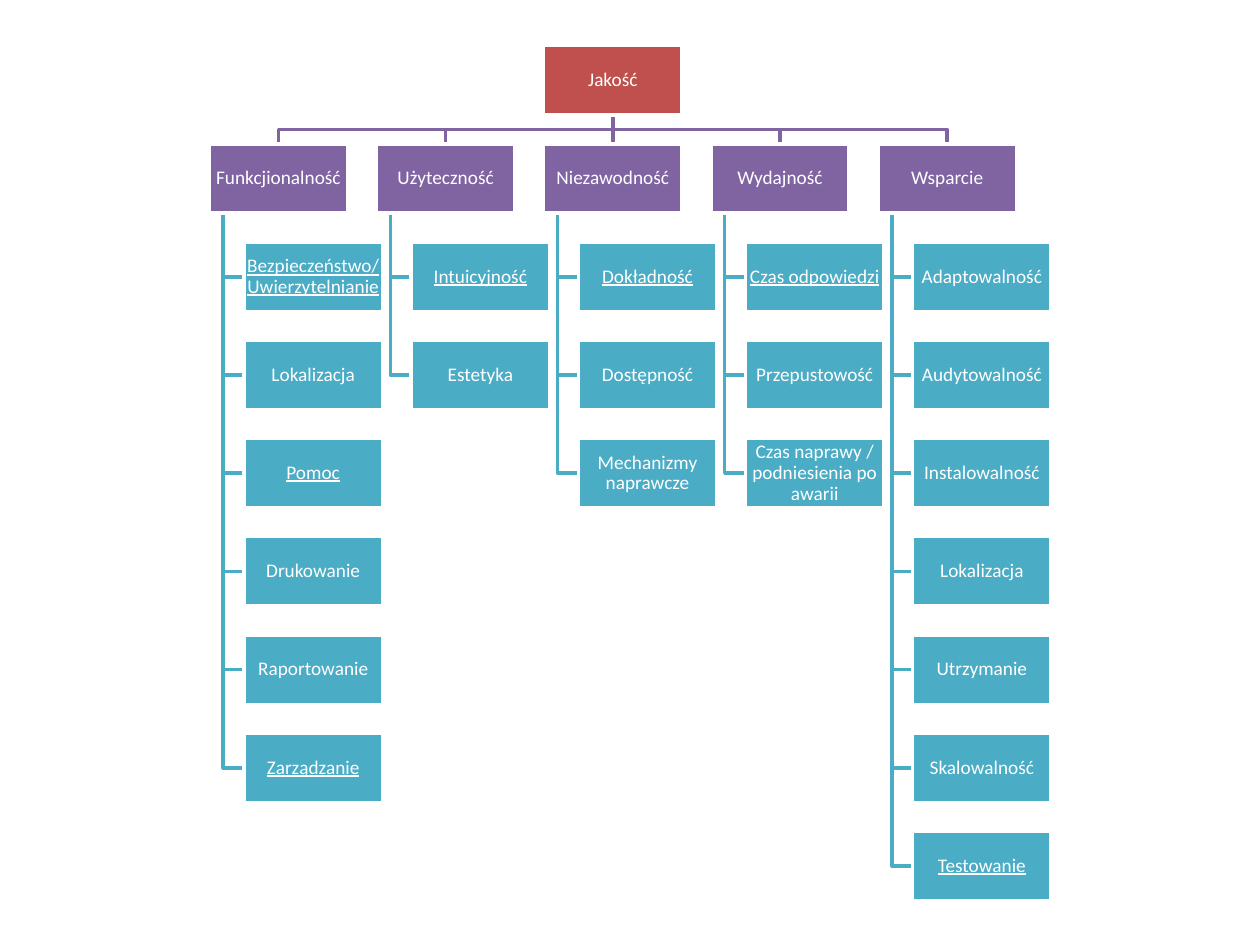
from pptx import Presentation
from pptx.dml.color import RGBColor
from pptx.enum.shapes import MSO_SHAPE
from pptx.enum.text import MSO_ANCHOR, PP_ALIGN
from pptx.util import Cm, Pt

COLORS = {"root": "C0504D", "branch": "8064A2", "leaf": "4BACC6", "white": "FFFFFF"}

# Content: quality attributes and their measures
ROOT = "Jakość"
BRANCHES = {
    "Funkcjionalność": ["Bezpieczeństwo/ Uwierzytelnianie", "Lokalizacja", "Pomoc",
                        "Drukowanie", "Raportowanie", "Zarządzanie"],
    "Użyteczność": ["Intuicyjność", "Estetyka"],
    "Niezawodność": ["Dokładność", "Dostępność", "Mechanizmy naprawcze"],
    "Wydajność": ["Czas odpowiedzi", "Przepustowość",
                  "Czas naprawy / podniesienia po awarii"],
    "Wsparcie": ["Adaptowalność", "Audytowalność", "Instalowalność", "Lokalizacja",
                 "Utrzymanie", "Skalowalność", "Testowanie"],
}
UNDERLINED = {"Bezpieczeństwo/ Uwierzytelnianie", "Pomoc", "Zarządzanie", "Intuicyjność",
              "Dokładność", "Czas odpowiedzi", "Testowanie"}

# Grid, in centimetres
NODE_W, NODE_H = 2.79, 1.4
ROW_STEP = 1.98
INDENT, TRUNK = 0.7, 0.28

FRAME_FORMAT = {"word_wrap": True, "vertical_anchor": MSO_ANCHOR.MIDDLE,
                "margin_left": Cm(0.02), "margin_right": Cm(0.02),
                "margin_top": Cm(0.02), "margin_bottom": Cm(0.02)}
PARAGRAPH_FORMAT = {"alignment": PP_ALIGN.CENTER, "line_spacing": 0.9}
FONT_FORMAT = {"name": "Calibri", "size": Pt(11)}


def rgb(role):
    return RGBColor.from_string(COLORS[role])


def apply(target, values):
    for attribute, value in values.items():
        setattr(target, attribute, value)


def add_node(slide, label, left, top, role):
    node = slide.shapes.add_shape(MSO_SHAPE.RECTANGLE, Cm(left), Cm(top),
                                  Cm(NODE_W), Cm(NODE_H))
    node.shadow.inherit = False
    node.fill.solid()
    node.fill.fore_color.rgb = rgb(role)
    node.line.color.rgb = rgb("white")
    node.line.width = Pt(2)
    frame = node.text_frame
    apply(frame, FRAME_FORMAT)
    paragraph = frame.paragraphs[0]
    apply(paragraph, PARAGRAPH_FORMAT)
    run = paragraph.add_run()
    run.text = label
    apply(run.font, FONT_FORMAT)
    run.font.color.rgb = rgb("white")
    if label in UNDERLINED:
        run.font.underline = True


def add_elbow(slide, points, role):
    start, *corners = [(Cm(x), Cm(y)) for x, y in points]
    builder = slide.shapes.build_freeform(*start)
    builder.add_line_segments(corners, close=False)
    elbow = builder.convert_to_shape()
    elbow.shadow.inherit = False
    elbow.fill.background()
    elbow.line.color.rgb = rgb(role)
    elbow.line.width = Pt(2)


def add_branch(slide, left, top, title, measures):
    """One attribute with its measures hanging below it."""
    rows = [top + ROW_STEP * number for number in range(1, len(measures) + 1)]
    trunk = left + TRUNK
    for row in reversed(rows):
        middle = row + NODE_H / 2
        add_elbow(slide, [(trunk, top + NODE_H), (trunk, middle),
                          (left + INDENT, middle)], "leaf")
    add_node(slide, title, left, top, "branch")
    for measure, row in zip(measures, rows):
        add_node(slide, measure, left + INDENT, row, "leaf")


def add_quality_tree(slide, left, top, width):
    """Root centred above evenly spaced branches."""
    step = (width - NODE_W) / (len(BRANCHES) - 1)
    columns = [left + step * number for number in range(len(BRANCHES))]
    root_left = left + (width - NODE_W) / 2
    root_center, root_bottom = root_left + NODE_W / 2, top + NODE_H
    branch_top = top + ROW_STEP
    bus = (root_bottom + branch_top) / 2

    # Lines from the root to the branches
    for column in columns:
        center = column + NODE_W / 2
        stem = [(root_center, root_bottom)]
        if abs(center - root_center) > 0.01:
            stem += [(root_center, bus), (center, bus)]
        add_elbow(slide, stem + [(center, branch_top)], "branch")

    # Nodes
    add_node(slide, ROOT, root_left, top, "root")
    for column, (title, measures) in zip(columns, BRANCHES.items()):
        add_branch(slide, column, branch_top, title, measures)


def main():
    presentation = Presentation()
    presentation.slide_width, presentation.slide_height = Cm(25.4), Cm(19.05)
    slide = presentation.slides.add_slide(presentation.slide_layouts[6])
    add_quality_tree(slide, left=4.22, top=0.92, width=16.27)
    presentation.save("out.pptx")


if __name__ == "__main__":
    main()
